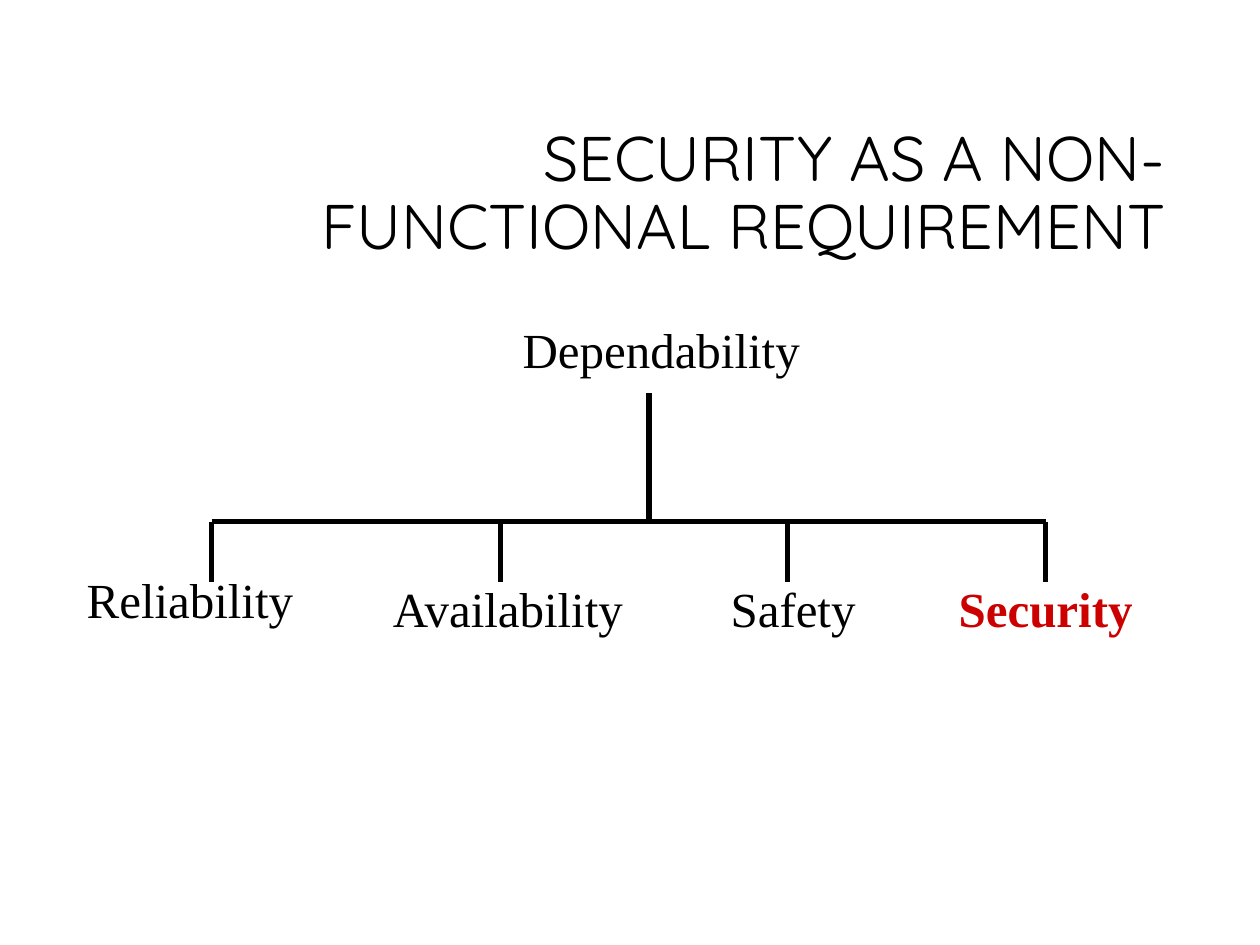
from lxml import etree
from pptx import Presentation
from pptx.dml.color import RGBColor
from pptx.enum import shapes, text
from pptx.oxml.ns import qn
from pptx.util import Inches, Pt

# Content
TITLE = "SECURITY AS A NON-FUNCTIONAL REQUIREMENT"
COLORS = {"ink": "000000", "accent": "CC0000"}
ROOT = ("Dependability", 4.05, 2.49, 2.4, "ink")
# label, left, top, width, colour
ATTRIBUTES = [
    ("Reliability", 0.59, 4.47, 1.84, "ink"),
    ("Availability", 3.02, 4.54, 2.06, "ink"),
    ("Safety", 5.7, 4.54, 1.19, "ink"),
    ("Security", 7.51, 4.54, 1.58, "accent"),
]
BRANCHES = [1.68, 3.97, 6.25, 8.3]
TRUNK_X, TRUNK_TOP, BAR_Y, BRANCH_END = 5.15, 3.12, 4.14, 4.62
LABEL_HEIGHT = 0.57


def style(font, name, size, color):
    font.name, font.size = name, Pt(size)
    font.color.rgb = RGBColor.from_string(COLORS[color])


def add_label(slide, label, left, top, width, color):
    box = slide.shapes.add_textbox(
        Inches(left), Inches(top), Inches(width), Inches(LABEL_HEIGHT))
    frame = box.text_frame
    frame.word_wrap = False
    frame.auto_size = text.MSO_AUTO_SIZE.SHAPE_TO_FIT_TEXT
    paragraph = frame.paragraphs[0]
    paragraph.text = label
    style(paragraph.font, "Times New Roman", 28, color)
    paragraph.font.bold = color == "accent"


def add_line(slide, x1, y1, x2, y2):
    line = slide.shapes.add_connector(
        shapes.MSO_CONNECTOR.STRAIGHT,
        Inches(x1), Inches(y1), Inches(x2), Inches(y2))
    line.line.width = Pt(3)
    line.line.color.rgb = RGBColor.from_string(COLORS["ink"])
    etree.SubElement(line._element.spPr, qn("a:effectLst"))


def main():
    prs = Presentation()
    prs.slide_width, prs.slide_height = Inches(10), Inches(7.5)
    slide = prs.slides.add_slide(prs.slide_layouts[5])

    # Title
    title = slide.shapes.title
    title.left, title.top = Inches(2.38), Inches(0.84)
    title.width, title.height = Inches(6.97), Inches(1.41)
    frame = title.text_frame
    frame.word_wrap = True
    frame.auto_size = text.MSO_AUTO_SIZE.NONE
    frame.vertical_anchor = text.MSO_ANCHOR.MIDDLE
    heading = frame.paragraphs[0]
    heading.text = TITLE
    heading.alignment = text.PP_ALIGN.RIGHT
    heading.line_spacing = 0.9
    style(heading.font, "Quicksand", 36, "ink")

    # Tree labels
    for node in [ROOT, *ATTRIBUTES]:
        add_label(slide, *node)

    # Tree lines: trunk, crossbar, branches
    add_line(slide, TRUNK_X, TRUNK_TOP, TRUNK_X, BAR_Y)
    add_line(slide, BRANCHES[0], BAR_Y, BRANCHES[-1], BAR_Y)
    for x in BRANCHES:
        add_line(slide, x, BAR_Y, x, BRANCH_END)

    prs.save("out.pptx")


if __name__ == "__main__":
    main()
